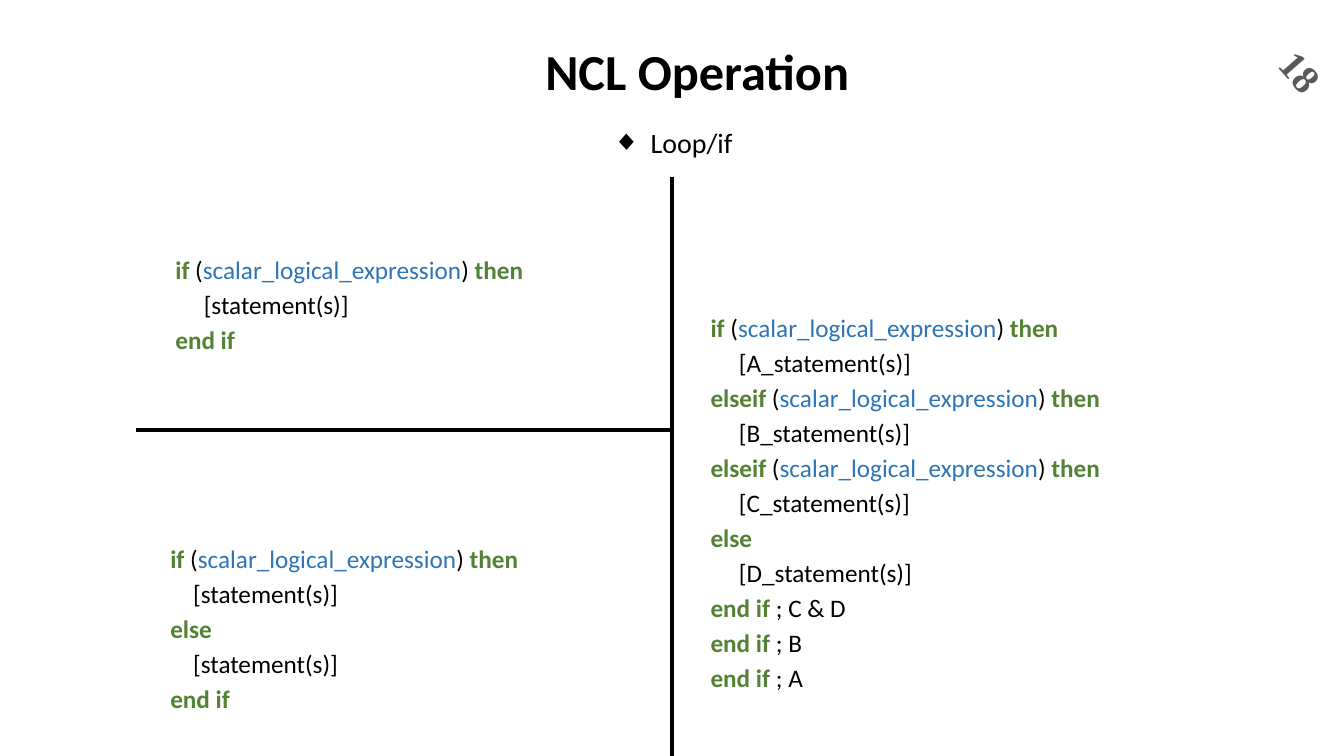
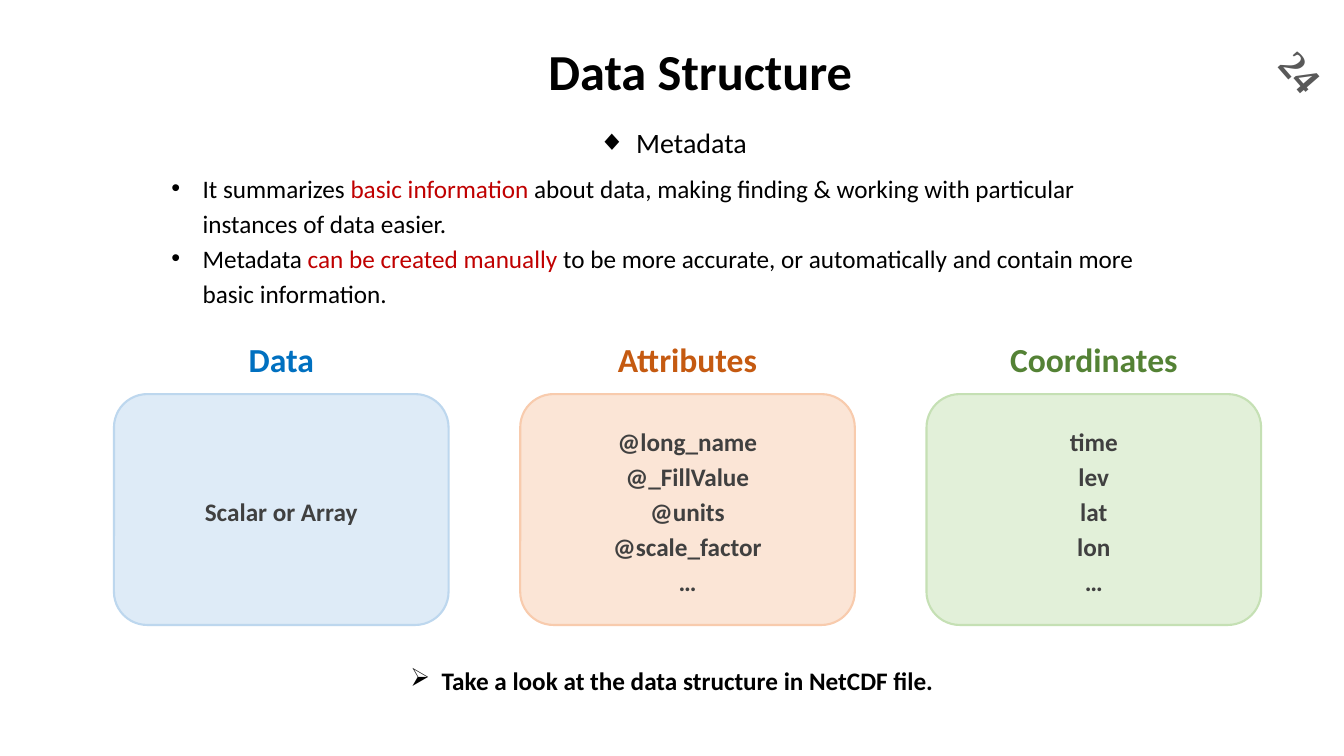
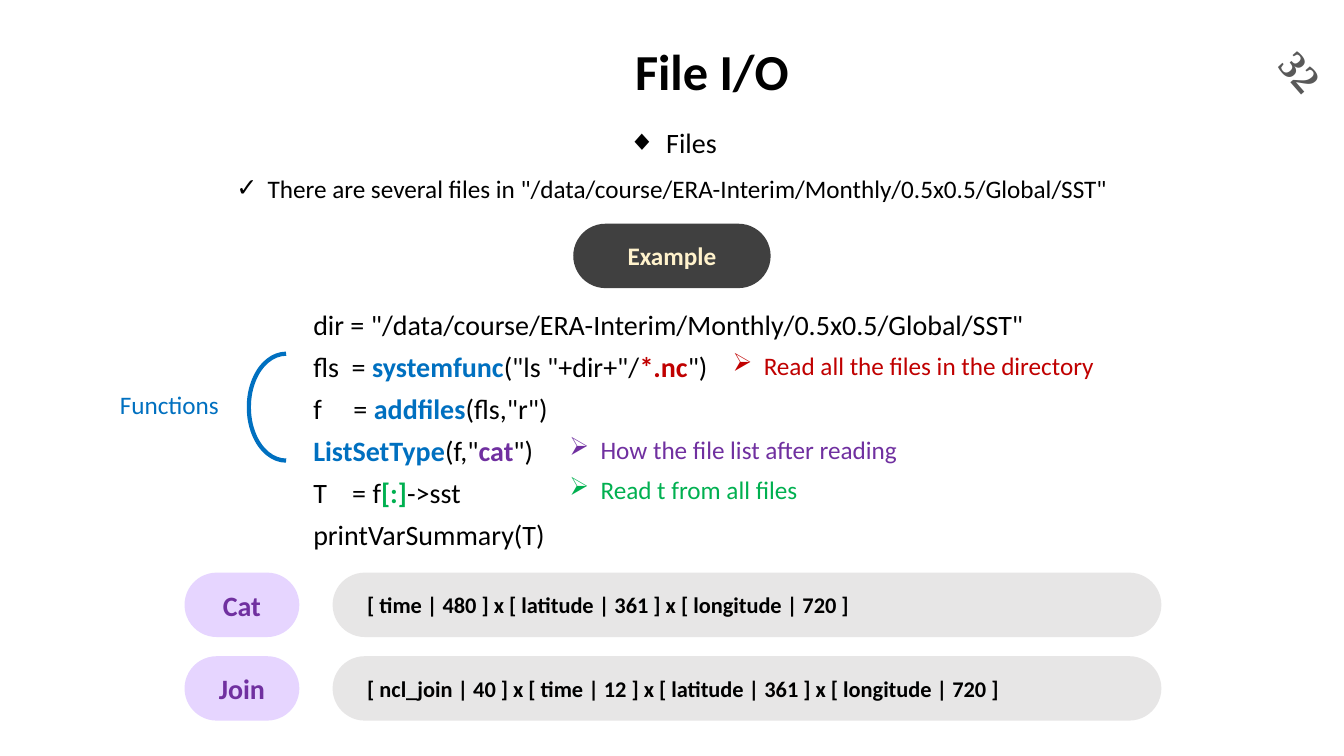
from lxml import etree
from pptx import Presentation
from pptx import util as u
from pptx.dml.color import RGBColor
from pptx.enum import shapes, text
from pptx.oxml import ns

COLS, ROWS = 96, 54  # square grid cells over the whole slide
BLACK, WHITE, GREY, DARK = "000000", "FFFFFF", "595959", "404040"
GREEN, BLUE, RED, PURPLE, LIME = "548235", "0070C0", "C00000", "7030A0", "00B050"
EXPRESSION, LILAC, SILVER, CREAM = "2E75B6", "E6D5FF", "E7E6E6", "FFF2CC"
LEFT, CENTER = text.PP_ALIGN.LEFT, text.PP_ALIGN.CENTER
TOP, MIDDLE = text.MSO_ANCHOR.TOP, text.MSO_ANCHOR.MIDDLE
ROUND = shapes.MSO_SHAPE.ROUNDED_RECTANGLE


def rgb(hex_code):
    return RGBColor.from_string(hex_code)


class Deck:
    """Shared style and the slide being filled; positions are in grid cells."""

    def __init__(self):
        self.prs = Presentation()
        self.prs.slide_height = u.Inches(7.5)
        self.cell = self.prs.slide_height / ROWS
        self.prs.slide_width = u.Emu(round(self.cell * COLS))
        self.s = None

    def grid(self, *cells):
        return [u.Emu(round(c * self.cell)) for c in cells]

    def add_text(self, tf, lines, size, color=BLACK, bold=False, font="Calibri",
                 align=LEFT, spacing=None, bullet=None, indent=0.31):
        """A line is a string or a list of strings and (text, colour, bold) runs."""
        for i, line in enumerate(lines):
            p = tf.paragraphs[0] if i == 0 else tf.add_paragraph()
            if bullet:
                pPr = p._p.get_or_add_pPr()
                pPr.set("marL", str(u.Inches(indent)))
                pPr.set("indent", str(-u.Inches(indent)))
                etree.SubElement(pPr, ns.qn("a:buChar")).set("char", bullet)
            p.alignment = align
            p.space_before = u.Pt(0)
            if spacing:
                p.line_spacing = u.Pt(spacing)
            for run in [line] if isinstance(line, str) else line:
                words, run_color, run_bold = (run, color, bold) if isinstance(run, str) else run
                r = p.add_run()
                r.text = words
                r.font.name, r.font.size, r.font.bold = font, u.Pt(size), run_bold
                r.font.color.rgb = rgb(run_color)

    def frame(self, sp, lines, size, anchor=TOP, **style):
        tf = sp.text_frame
        tf.word_wrap, tf.auto_size = True, text.MSO_AUTO_SIZE.NONE
        tf.vertical_anchor = anchor
        self.add_text(tf, lines, size, **style)

    def place(self, sp, box):
        sp.left, sp.top, sp.width, sp.height = self.grid(*box)

    def slide(self, title, title_left, number, topic, layout="Two Content"):
        """Title, page number and topic line that every slide carries."""
        self.s = self.prs.slides.add_slide(self.prs.slide_layouts.get_by_name(layout))
        self.place(self.s.shapes.title, (title_left, 2.5, 27, 5.1))
        self.frame(self.s.shapes.title, [title], 36, bold=True)
        page = self.label((90.85, 3.05, 4.2, 4.1), [number], 28, color=GREY, bold=True,
                          font="Times New Roman", align=CENTER, anchor=MIDDLE)
        page.rotation = 49
        page.text_frame.word_wrap = False
        self.points((13.68, 8.57, 68.7, 3.2), [topic], 20, holder=1,
                    align=CENTER, bullet="◆", indent=0.38)

    def points(self, box, lines, size=18, holder=2, **style):
        sp = self.s.placeholders[holder]
        self.place(sp, box)
        self.frame(sp, lines, size, **style)

    def label(self, box, lines, size=18, **style):
        sp = self.s.shapes.add_textbox(*self.grid(*box))
        self.frame(sp, lines, size, **style)
        return sp

    def shape(self, box, kind=ROUND, corner=0.5, fill=None, line=None, line_width=1.5):
        sp = self.s.shapes.add_shape(kind, *self.grid(*box))
        sp.shadow.inherit = False
        sp.adjustments[0] = corner
        if fill:
            sp.fill.solid()
            sp.fill.fore_color.rgb = rgb(fill)
        else:
            sp.fill.background()
        if line:
            sp.line.color.rgb = rgb(line)
            sp.line.width = u.Pt(line_width)
        else:
            sp.line.fill.background()
        return sp

    def pill(self, box, words, fill, size, align=CENTER, inset=7.2, **style):
        sp = self.shape(box, fill=fill)
        sp.text_frame.margin_left = u.Pt(inset)
        self.frame(sp, [words], size, anchor=MIDDLE, align=align, bold=True, **style)

    def table(self, box, rows, cols):
        table = self.s.shapes.add_table(rows, cols, *self.grid(*box)).table
        table.first_row = table.horz_banding = False
        return table

    def code_cell(self, cell, lines, borders, inset):
        tcPr = cell._tc.get_or_add_tcPr()
        for side in borders:
            ln = etree.SubElement(tcPr, ns.qn("a:ln" + side), w=str(u.Pt(3)))
            fill = etree.SubElement(ln, ns.qn("a:solidFill"))
            etree.SubElement(fill, ns.qn("a:srgbClr"), val=BLACK)
        cell.fill.solid()
        cell.fill.fore_color.rgb = rgb(WHITE)
        cell.vertical_anchor = MIDDLE
        cell.margin_left = u.Inches(inset)
        self.add_text(cell.text_frame, lines, 18, spacing=25)


def key(word):
    return (word, GREEN, True)


def condition(word):
    return [key(word), " (", ("scalar_logical_expression", EXPRESSION, False), ") ", key("then")]


def operation_slide(d):
    d.slide("NCL Operation", 38.23, "18", "Loop/if", layout="Title and Content")
    table = d.table((9.79, 12.67, 76.46, 36.14), 2, 2)
    table.cell(0, 1).merge(table.cell(1, 1))
    d.code_cell(table.cell(0, 0), [
        condition("if"), "     [statement(s)]", [key("end if")]], "RB", 0.38)
    d.code_cell(table.cell(1, 0), [
        condition("if"), "    [statement(s)]", [key("else")],
        "    [statement(s)]", [key("end if")]], "RT", 0.33)
    d.code_cell(table.cell(0, 1), [
        condition("if"), "     [A_statement(s)]",
        condition("elseif"), "     [B_statement(s)]",
        condition("elseif"), "     [C_statement(s)]",
        [key("else")], "     [D_statement(s)]",
        *([key("end if"), " ; " + branch] for branch in ("C & D", "B", "A"))], "L", 0.38)


def structure_slide(d):
    d.slide("Data Structure", 38.45, "24", "Metadata")
    d.points((11.52, 11.66, 72.94, 10.66), [
        ["It summarizes ", ("basic information", RED, False),
         " about data, making finding & working with particular instances of data easier."],
        ["Metadata ", ("can be created manually ", RED, False),
         "to be more accurate, or automatically and contain more basic information."],
    ], spacing=25, bullet="•")

    # Three headed cards at equal steps
    cards = [
        ("Data", BLUE, "DEEBF7", "BDD7EE", ["Scalar or Array"]),
        ("Attributes", "C55A11", "FBE5D6", "F8CBAD",
         ["@long_name", "@_FillValue", "@units", "@scale_factor", "…"]),
        ("Coordinates", GREEN, "E2F0D9", "C5E0B4", ["time", "lev", "lat", "lon", "…"]),
    ]
    for i, (heading, color, fill, line, items) in enumerate(cards):
        x = 8.14 + 29.02 * i
        d.label((x, 23.83, 23.9, 3.6), [heading], 24, color=color, bold=True, align=CENTER)
        card = d.shape((x, 28.15, 23.9, 16.49), corner=0.144, fill=fill, line=line)
        d.frame(card, items, 18, anchor=MIDDLE, color=DARK, bold=True, align=CENTER, spacing=25)

    d.label((26, 47.16, 44, 2.88), ["Take a look at the data structure in NetCDF file."],
            bold=True, align=CENTER, bullet="➢")


def files_slide(d):
    d.slide("File I/O", 44.64, "32", "Files")
    d.points((13.54, 11.66, 68.9, 3),
             ['There are several files in "/data/course/ERA-Interim/Monthly/0.5x0.5/Global/SST"'],
             align=CENTER, spacing=25, bullet="✓")
    d.pill((40.95, 15.98, 14.1, 4.6), "Example", DARK, 18, color=CREAM)

    # Code with its notes
    d.label((21.67, 21.02, 68.9, 18.65), [
        'dir = "/data/course/ERA-Interim/Monthly/0.5x0.5/Global/SST"',
        ["fls  = ", ("systemfunc", BLUE, True), '("ls "+dir+"/', ("*.nc", RED, True), '")'],
        ["f     = ", ("addfiles", BLUE, True), '(fls,"r")'],
        [("ListSetType", BLUE, True), '(f,"', ("cat", PURPLE, True), '")'],
        ["T    = f", ("[:]", LIME, True), "->sst"],
        "printVarSummary(T)",
    ], 20, spacing=30)
    d.shape((17.78, 25.27, 2.66, 7.63), shapes.MSO_SHAPE.LEFT_BRACKET, 1.424,
            line=BLUE, line_width=3)
    d.label((7.85, 27.43, 9.14, 2.88), ["Functions"], color=BLUE)
    for x, y, note, color in [
        (51.62, 24.7, "Read all the files in the directory", RED),
        (39.96, 30.67, "How the file list after reading", PURPLE),
        (39.96, 33.55, "Read t from all files", LIME),
    ]:
        d.label((x, y, 30.5, 2.88), [note], color=color, bullet="➢")

    # Resulting dimensions of each list type
    for i, (mode, dims) in enumerate([
        ("Cat", "[ time | 480 ] x [ latitude | 361 ] x [ longitude | 720 ]"),
        ("Join", "[ ncl_join | 40 ] x [ time | 12 ] x [ latitude | 361 ] x [ longitude | 720 ]"),
    ]):
        y = 40.9 + 5.97 * i
        d.pill((13.18, y, 8.2, 4.6), mode, LILAC, 20, color=PURPLE)
        d.pill((23.76, y, 59.2, 4.6), dims, SILVER, 16, align=LEFT, inset=18)


def main():
    deck = Deck()
    operation_slide(deck)
    structure_slide(deck)
    files_slide(deck)
    deck.prs.save("out.pptx")


if __name__ == "__main__":
    main()
